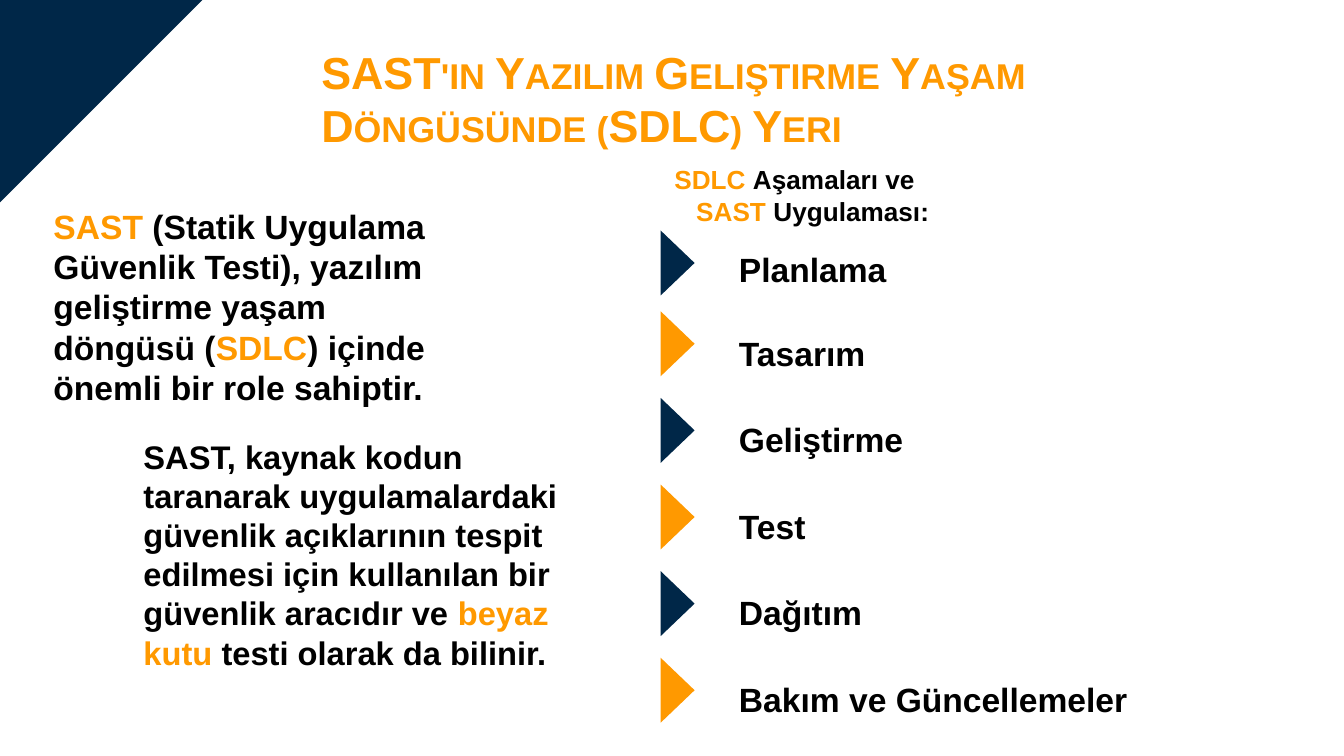
from dataclasses import dataclass

from pptx import Presentation
from pptx.dml.color import RGBColor
from pptx.enum.shapes import MSO_SHAPE
from pptx.enum.text import MSO_ANCHOR, MSO_AUTO_SIZE, PP_ALIGN
from pptx.util import Pt

RIGHT_TRIANGLE = MSO_SHAPE.RIGHT_TRIANGLE
TRIANGLE = MSO_SHAPE.ISOSCELES_TRIANGLE
TOP, MIDDLE = MSO_ANCHOR.TOP, MSO_ANCHOR.MIDDLE
LEFT, JUSTIFY = PP_ALIGN.LEFT, PP_ALIGN.JUSTIFY
NO_FIT, GROW = MSO_AUTO_SIZE.NONE, MSO_AUTO_SIZE.SHAPE_TO_FIT_TEXT

FONT = "Arial"
ORANGE, NAVY, BLACK = "FF9900", "002748", "000000"

# Phase list: an even pitch from the second phase on
PITCH = 46.4
FIRST_LABEL_TOP, FIRST_MARKER_TOP = 113.8, 131.8
SECOND_LABEL_TOP, SECOND_MARKER_TOP = 158.5, 175.1
PHASES = ["Planlama", "Tasarım", "Geliştirme", "Test", "Dağıtım",
          "Bakım ve Güncellemeler"]


@dataclass
class Box:
    left: float
    top: float
    width: float
    height: float

    def lengths(self) -> tuple:
        return Pt(self.left), Pt(self.top), Pt(self.width), Pt(self.height)


@dataclass
class Span:
    text: str
    color: str = BLACK


@dataclass
class TextBlock:
    box: Box
    lines: list[list[Span]]
    size: float
    anchor: MSO_ANCHOR = TOP
    align: PP_ALIGN = LEFT
    fit: MSO_AUTO_SIZE = NO_FIT
    margins: tuple[float, float] = (7.2, 3.6)
    indents: tuple[float, ...] = ()
    small_caps: bool = False


def rgb(color: str) -> RGBColor:
    return RGBColor.from_string(color)


def draw_triangle(slide, kind: MSO_SHAPE, box: Box, color: str) -> None:
    shape = slide.shapes.add_shape(kind, *box.lengths())
    shape.rotation = 90
    shape.shadow.inherit = False
    shape.fill.solid()
    shape.fill.fore_color.rgb = rgb(color)
    shape.line.fill.background()


def draw_text(slide, block: TextBlock) -> None:
    frame = slide.shapes.add_textbox(*block.box.lengths()).text_frame
    frame.word_wrap = True
    frame.auto_size = block.fit
    frame.vertical_anchor = block.anchor
    side, end = block.margins
    frame.margin_left = frame.margin_right = Pt(side)
    frame.margin_top = frame.margin_bottom = Pt(end)
    for index, spans in enumerate(block.lines):
        paragraph = frame.add_paragraph() if index else frame.paragraphs[0]
        paragraph.alignment = block.align
        if block.indents:
            properties = paragraph._p.get_or_add_pPr()
            properties.set("marL", str(int(Pt(block.indents[index]))))
        for span in spans:
            run = paragraph.add_run()
            run.text = span.text
            run.font.name = FONT
            run.font.size = Pt(block.size)
            run.font.bold = True
            run.font.color.rgb = rgb(span.color)
            if block.small_caps:
                run._r.get_or_add_rPr().set("cap", "small")


def draw_phase(slide, index: int, name: str) -> None:
    label_top, marker_top = FIRST_LABEL_TOP, FIRST_MARKER_TOP
    if index:
        label_top = SECOND_LABEL_TOP + (index - 1) * PITCH
        marker_top = SECOND_MARKER_TOP + (index - 1) * PITCH
    draw_triangle(slide, TRIANGLE, Box(345.6, marker_top, 34.8, 18.2),
                  ORANGE if index % 2 else NAVY)
    draw_text(slide, TextBlock(Box(388.8, label_top, 311, 60.8),
                               [[Span(name)]], 18, MIDDLE, JUSTIFY))


TITLE = TextBlock(
    Box(167.8, 21.6, 430.6, 61.9),
    [[Span("SAST'in Yazılım Geliştirme Yaşam Döngüsünde (SDLC) Yeri", ORANGE)]],
    24, margins=(4.3, 2.2), small_caps=True)

ROLE = TextBlock(
    Box(21.6, 106.6, 239.8, 115.9),
    [[Span("SAST ", ORANGE),
      Span("(Statik Uygulama Güvenlik Testi), yazılım geliştirme yaşam döngüsü ("),
      Span("SDLC", ORANGE),
      Span(") içinde önemli bir role sahiptir.")]],
    18, fit=GROW)

DEFINITION = TextBlock(
    Box(69.8, 230.4, 239.8, 134.6),
    [[Span("SAST, kaynak kodun taranarak uygulamalardaki güvenlik açıklarının "
           "tespit edilmesi için kullanılan bir güvenlik aracıdır ve "),
      Span("beyaz kutu", ORANGE),
      Span(" testi olarak da bilinir.")]],
    17.5, fit=GROW)

PHASES_HEADING = TextBlock(
    Box(354.2, 84.2, 285.8, 36.7),
    [[Span("SDLC ", ORANGE), Span("Aşamaları ve")],
     [Span("SAST ", ORANGE), Span("Uygulaması:")]],
    14, indents=(0, 11.7))


def main() -> None:
    presentation = Presentation()
    presentation.slide_width, presentation.slide_height = Pt(720), Pt(405)
    slide = presentation.slides.add_slide(presentation.slide_layouts[6])

    # Corner decoration
    draw_triangle(slide, RIGHT_TRIANGLE, Box(-1.5, -1, 110.9, 110.9), NAVY)

    # Title, left-hand paragraphs and list heading
    for block in (TITLE, ROLE, DEFINITION, PHASES_HEADING):
        draw_text(slide, block)

    # Life cycle phases
    for index, name in enumerate(PHASES):
        draw_phase(slide, index, name)

    presentation.save("out.pptx")


if __name__ == "__main__":
    main()
